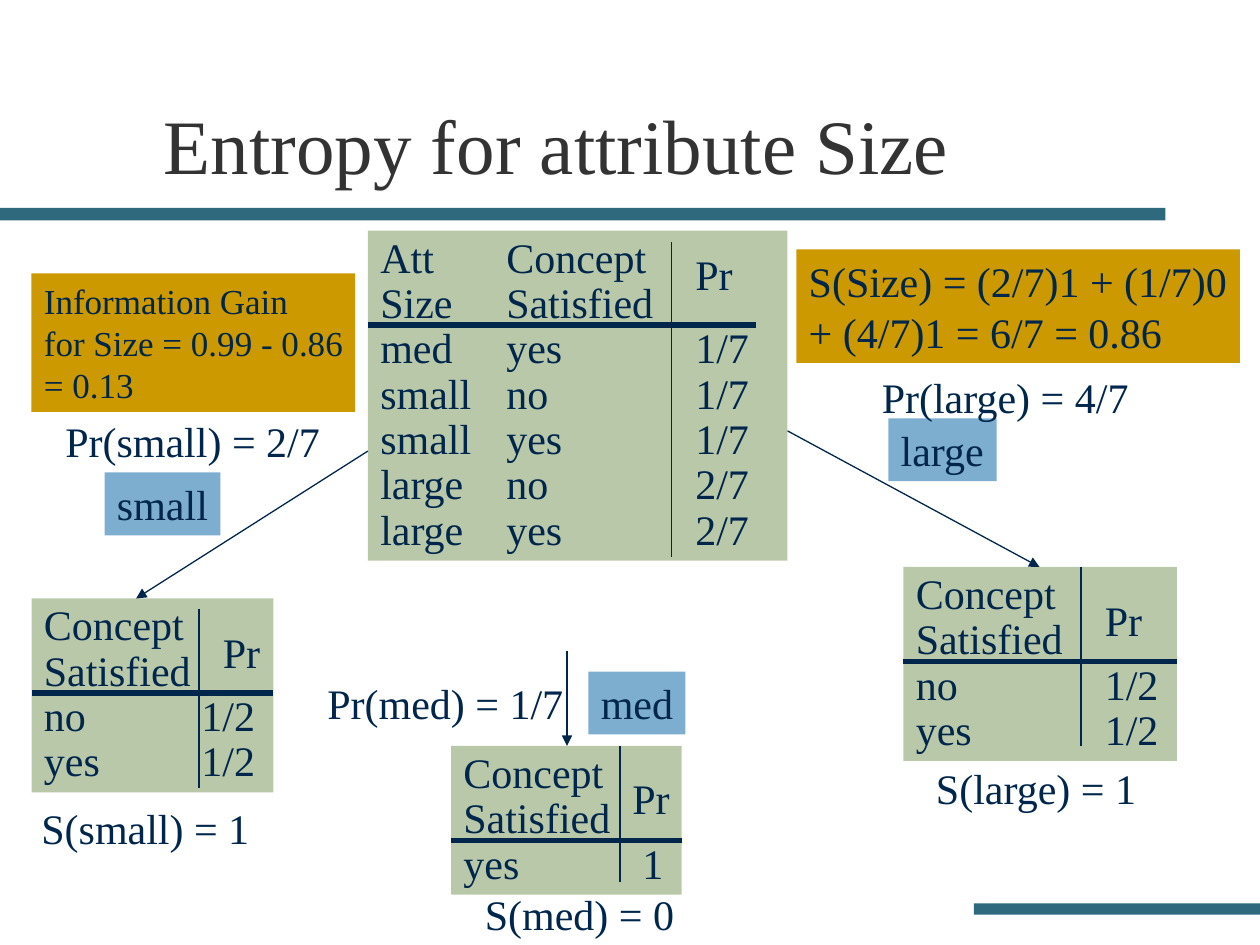
from dataclasses import dataclass

from lxml import etree
from pptx import Presentation
from pptx.dml.color import RGBColor
from pptx.enum.shapes import MSO_CONNECTOR, MSO_SHAPE
from pptx.enum.text import MSO_ANCHOR, MSO_AUTO_SIZE, PP_ALIGN
from pptx.oxml.ns import qn
from pptx.util import Inches, Pt

STRAIGHT = MSO_CONNECTOR.STRAIGHT
RECTANGLE = MSO_SHAPE.RECTANGLE
TOP, BOTTOM = MSO_ANCHOR.TOP, MSO_ANCHOR.BOTTOM
NO_FIT, GROW = MSO_AUTO_SIZE.NONE, MSO_AUTO_SIZE.SHAPE_TO_FIT_TEXT
LEFT = PP_ALIGN.LEFT


@dataclass(frozen=True)
class Theme:
    font: str = "Times New Roman"
    ink: str = "00264C"
    title_ink: str = "333333"
    bar: str = "2E697E"
    panel: str = "BAC8AA"
    branch: str = "7DAECF"
    result: str = "CC9900"
    title_size: float = 44
    body_size: float = 24
    small_size: float = 20
    thin: float = 0.75
    thick: float = 3


THEME = Theme()
LABEL_HEIGHT = 0.5
LABEL_RIGHT_INSET = 0.05
HEADER_HEIGHT = 0.75


@dataclass(frozen=True)
class Box:
    left: float
    top: float
    width: float
    height: float


@dataclass(frozen=True)
class Label:
    box: Box
    lines: tuple[str, ...]
    fill: str | None = None
    size: float = THEME.body_size


@dataclass(frozen=True)
class ProbabilityTable:
    box: Box
    rows: tuple[str, ...]
    tab_stops: tuple[float, ...]
    rule_width: float
    divider: tuple[float, float, float]  # x, top, bottom
    heading: tuple[float, float]  # left and top of "Pr"


@dataclass(frozen=True)
class Line:
    start: tuple[float, float]
    end: tuple[float, float]
    width: float = THEME.thin
    arrow: bool = False


TABLES = (
    ProbabilityTable(
        Box(2.92, 1.83, 3.33, 2.62),
        ("Att\tConcept", "Size\tSatisfied", "med\tyes\t1/7", "small\tno\t1/7",
         "small\tyes\t1/7", "large\tno\t2/7", "large\tyes\t2/7"),
        (1, 2.5), 3.08, (5.33, 1.92, 4.42), (5.42, 1.92)),
    ProbabilityTable(
        Box(0.25, 4.75, 1.92, 1.54),
        ("Concept", "Satisfied", "no\t1/2", "yes\t1/2"),
        (1.25,), 1.92, (1.58, 4.83, 6.25), (1.67, 4.92)),
    ProbabilityTable(
        Box(3.58, 5.92, 1.83, 1.18),
        ("Concept", "Satisfied", "yes\t1"),
        (1.42,), 1.83, (4.92, 5.92, 7), (4.92, 6.08)),
    ProbabilityTable(
        Box(7.17, 4.5, 2.17, 1.54),
        ("Concept", "Satisfied", "no\t1/2", "yes\t1/2"),
        (1.5,), 2.17, (8.58, 4.5, 5.92), (8.67, 4.67)),
)

ARROWS = (
    Line((2.92, 3.58), (1.08, 4.75), arrow=True),
    Line((4.5, 5.17), (4.5, 5.92), arrow=True),
    Line((6.25, 3.42), (8.25, 4.5), arrow=True),
)

LABELS = (
    Label(Box(0.83, 3.75, 0.92, LABEL_HEIGHT), ("small",), THEME.branch),
    Label(Box(4.67, 5.33, 0.77, LABEL_HEIGHT), ("med",), THEME.branch),
    Label(Box(7.05, 3.32, 0.86, LABEL_HEIGHT), ("large",), THEME.branch),
    Label(Box(0.23, 6.32, 1.85, LABEL_HEIGHT), ("S(small) = 1",)),
    Label(Box(3.75, 7, 1.7, LABEL_HEIGHT), ("S(med) = 0",)),
    Label(Box(7.33, 6, 1.79, LABEL_HEIGHT), ("S(large) = 1",)),
    Label(Box(0.42, 3.25, 2.22, LABEL_HEIGHT), ("Pr(small) = 2/7",)),
    Label(Box(6.9, 2.9, 2.16, LABEL_HEIGHT), ("Pr(large) = 4/7",)),
    Label(Box(2.5, 5.33, 2.07, LABEL_HEIGHT), ("Pr(med) = 1/7",)),
    Label(Box(6.32, 1.98, 3.52, 0.9),
          ("S(Size) = (2/7)1 + (1/7)0", "+ (4/7)1 = 6/7 = 0.86"), THEME.result),
    Label(Box(0.25, 2.17, 2.57, 1.1),
          ("Information Gain", "for Size = 0.99 - 0.86", "= 0.13"),
          THEME.result, THEME.small_size),
)


def place(box: Box) -> tuple:
    return tuple(Inches(n) for n in (box.left, box.top, box.width, box.height))


def style_paragraph(para, size: float, color: str) -> None:
    para.alignment = LEFT
    para.font.name = THEME.font
    para.font.size = Pt(size)
    para.font.color.rgb = RGBColor.from_string(color)


def add_tab_stops(para, stops: tuple[float, ...]) -> None:
    tab_list = etree.SubElement(para._p.get_or_add_pPr(), qn("a:tabLst"))
    for stop in stops:
        etree.SubElement(tab_list, qn("a:tab"), pos=str(Inches(stop)), algn="l")


def write_lines(frame, lines: tuple[str, ...], size: float,
                tab_stops: tuple[float, ...] = (),
                spacing: float | None = None) -> None:
    frame.vertical_anchor = TOP
    frame.auto_size = GROW
    for index, line in enumerate(lines):
        para = frame.add_paragraph() if index else frame.paragraphs[0]
        para.text = line
        if spacing:
            para.line_spacing = spacing
        if tab_stops:
            add_tab_stops(para, tab_stops)
        style_paragraph(para, size, THEME.ink)


def add_rectangle(page, box: Box, fill: str):
    rectangle = page.shapes.add_shape(RECTANGLE, *place(box))
    rectangle.shadow.inherit = False
    rectangle.fill.solid()
    rectangle.fill.fore_color.rgb = RGBColor.from_string(fill)
    rectangle.line.fill.background()
    return rectangle


def add_label(page, label: Label) -> None:
    """Add unwrapped text; a narrow right inset keeps tight lines whole."""
    if label.fill:
        shape = add_rectangle(page, label.box, label.fill)
    else:
        shape = page.shapes.add_textbox(*place(label.box))
    shape.text_frame.word_wrap = False
    shape.text_frame.margin_right = Inches(LABEL_RIGHT_INSET)
    write_lines(shape.text_frame, label.lines, label.size)


def add_line(page, line: Line) -> None:
    ends = (Inches(n) for n in (*line.start, *line.end))
    connector = page.shapes.add_connector(STRAIGHT, *ends)
    connector.line.color.rgb = RGBColor.from_string(THEME.ink)
    connector.line.width = Pt(line.width)
    if line.arrow:
        etree.SubElement(connector.line._get_or_add_ln(), qn("a:tailEnd"), type="triangle")
    etree.SubElement(connector._element.spPr, qn("a:effectLst"))


def add_probability_table(page, table: ProbabilityTable) -> None:
    """Draw a tabbed panel with its header rule, column divider and Pr heading."""
    box = table.box
    panel = add_rectangle(page, box, THEME.panel)
    panel.text_frame.word_wrap = True
    write_lines(panel.text_frame, table.rows, THEME.body_size, table.tab_stops, 0.9)
    rule_y = box.top + HEADER_HEIGHT
    add_line(page, Line((box.left, rule_y), (box.left + table.rule_width, rule_y), THEME.thick))
    x, top, bottom = table.divider
    add_line(page, Line((x, top), (x, bottom)))
    add_label(page, Label(Box(*table.heading, 0.49, LABEL_HEIGHT), ("Pr",)))


def set_title(page, text: str) -> None:
    title = page.shapes.title
    title.left, title.top, title.width, title.height = place(Box(1.2, 0.31, 8.5, 1.25))
    frame = title.text_frame
    frame.text = text
    frame.vertical_anchor = BOTTOM
    frame.auto_size = NO_FIT
    style_paragraph(frame.paragraphs[0], THEME.title_size, THEME.title_ink)


def main() -> None:
    deck = Presentation()
    deck.slide_width, deck.slide_height = Inches(10), Inches(7.5)
    page = deck.slides.add_slide(deck.slide_layouts[5])
    for bar in (Box(0, 1.65, 9.25, 0.1), Box(7.73, 7.17, 2.27, 0.09)):
        add_rectangle(page, bar, THEME.bar)
    set_title(page, "Entropy for attribute Size")
    for table in TABLES:
        add_probability_table(page, table)
    for arrow in ARROWS:
        add_line(page, arrow)
    for label in LABELS:
        add_label(page, label)
    deck.save("out.pptx")


if __name__ == "__main__":
    main()
